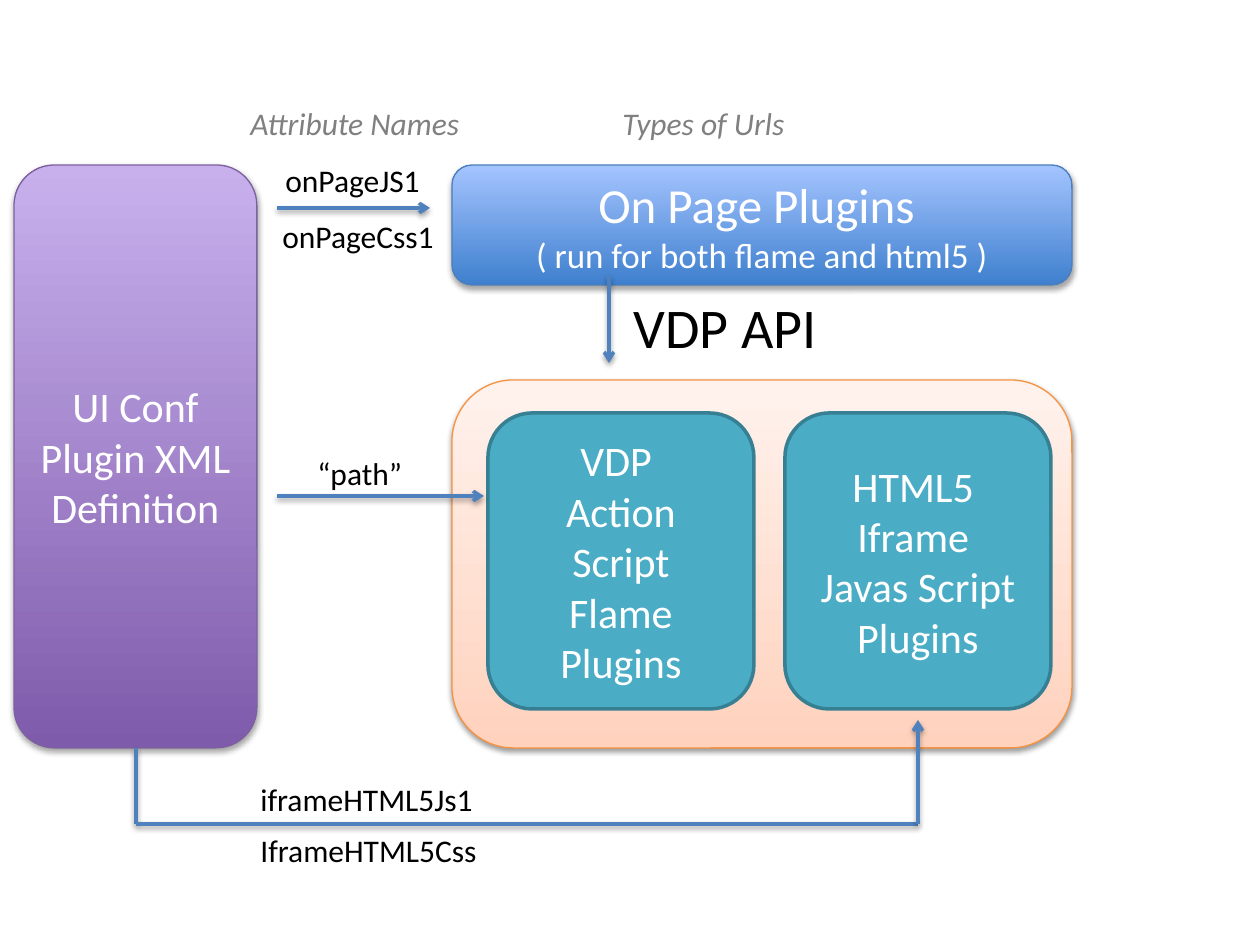
from pptx import Presentation
from pptx.util import Emu, Pt
from pptx.dml.color import RGBColor as RGB
from pptx.enum.shapes import MSO_SHAPE as Shape, MSO_CONNECTOR as Conn
from pptx.enum.text import PP_ALIGN as Align, MSO_ANCHOR as Anchor
from pptx.oxml import parse_xml
from pptx.oxml.ns import nsdecls, qn

SCALE = 914400 // 126
WHITE = RGB(0xFF, 0xFF, 0xFF)
BLACK = RGB(0, 0, 0)
GRAY = RGB(0x80, 0x80, 0x80)
BLUE = RGB(0x4F, 0x81, 0xBD)
NAVY = RGB(0x4B, 0x7E, 0xBC)
BLUES = RGB(0x3F, 0x80, 0xCE), RGB(0xA4, 0xC4, 0xFF)
PLUM = RGB(0x7D, 0x60, 0xA0)
PLUMS = RGB(0x7F, 0x5B, 0xAB), RGB(0xC8, 0xB0, 0xED)
ORANGE = RGB(0xF6, 0x92, 0x40)
PEACH = RGB(0xFF, 0xD2, 0xBD), RGB(0xFF, 0xF2, 0xED)
TEAL = RGB(0x4B, 0xAC, 0xC6)
DARK = RGB(0x37, 0x7F, 0x92)


def px(*nums):
    return [Emu(n * SCALE) for n in nums]


def shade(props, alpha, dist):
    old = props.find(qn("a:effectLst"))
    if old is not None:
        props.remove(old)
    props.append(parse_xml(
        f'<a:effectLst {nsdecls("a")}><a:outerShdw blurRad="40000" dist="{dist}" '
        'dir="5400000" rotWithShape="0"><a:srgbClr val="000000">'
        f'<a:alpha val="{alpha}000"/></a:srgbClr></a:outerShdw></a:effectLst>'))


def write(frame, rows, color, align=None, italic=None):
    for i, (text, size) in enumerate(rows):
        para = frame.paragraphs[0] if i == 0 else frame.add_paragraph()
        para.text = text
        para.alignment = align
        font = para.font
        font.name, font.size, font.italic = "Calibri", Pt(size), italic
        font.color.rgb = color


def panel(slide, box, fill, edge, width, rows=(), glow=None):
    shape = slide.shapes.add_shape(Shape.ROUNDED_RECTANGLE, *px(*box))
    shape.shadow.inherit = False
    if isinstance(fill, RGB):
        shape.fill.solid()
        shape.fill.fore_color.rgb = fill
    else:
        shape.fill.gradient()
        shape.fill.gradient_angle = 90
        for stop, color in zip(shape.fill.gradient_stops, fill):
            stop.color.rgb = color
    shape.line.color.rgb = edge
    shape.line.width = Pt(width)
    if glow:
        shade(shape._element.spPr, *glow)
    shape.text_frame.word_wrap = True
    shape.text_frame.vertical_anchor = Anchor.MIDDLE
    write(shape.text_frame, rows, WHITE, Align.CENTER)


def label(slide, box, text, size=18, color=BLACK, italic=None):
    frame = slide.shapes.add_textbox(*px(*box)).text_frame
    frame.word_wrap = False
    write(frame, [(text, size)], color, italic=italic)


def link(slide, ends, head=True):
    line = slide.shapes.add_connector(Conn.STRAIGHT, *px(*ends))
    line.line.color.rgb = BLUE
    line.line.width = Pt(2)
    if head:
        line.line._get_or_add_ln().append(
            parse_xml(f'<a:tailEnd {nsdecls("a")} type="arrow"/>'))
    shade(line._element.spPr, 38, 20000)


def source(slide, box):
    panel(slide, box, PLUMS, PLUM, 0.75,
          [("UI Conf Plugin XML Definition", 24)], (35, 23000))


def page(slide, box):
    x, y, w, h = box
    panel(slide, box, BLUES, NAVY, 0.75,
          [("On Page Plugins ", 28), ("( run for both flame and html5 )", 20)],
          (35, 23000))
    link(slide, (x + 157, y + h - 9, x + 157, y + h + 78))
    label(slide, (x + 169, y + h + 1, 218, 81), "VDP API", 32)


def player(slide, box):
    x, y, w, h = box
    panel(slide, box, PEACH, ORANGE, 0.75, glow=(38, 20000))
    parts = (("VDP ", "Action Script", "Flame Plugins"),
             ("HTML5 ", "Iframe ", "Javas Script Plugins"))
    for i, rows in enumerate(parts):
        panel(slide, (x + 36 + 297 * i, y + 33, 266, 296), TEAL, DARK, 2,
              [(row, 24) for row in rows])


def names(slide, box):
    x, y, w, h = box
    label(slide, (x - 39, y - 67, 246, 50), "Attribute Names", 18, GRAY, True)
    label(slide, (x + 333, y - 67, 198, 50), "Types of Urls", 18, GRAY, True)
    label(slide, (x - 4, y - 10, 163, 50), "onPageJS1")
    label(slide, (x - 7, y + 46, 179, 50), "onPageCss1")
    label(slide, (x + 28, y + 283, 111, 50), "“path”")
    link(slide, (x, y + 43, x + 153, y + 43))
    link(slide, (x, y + h, x + w, y + h))


def route(slide, box):
    x, y, w, h = box
    link(slide, (x, y, x, y + h), False)
    link(slide, (x, y + h, x + w, y + h), False)
    link(slide, (x + w, y + h, x + w, y - 28))
    label(slide, (x + 112, y + 26, 241, 50), "iframeHTML5Js1")
    label(slide, (x + 112, y + 77, 244, 50), "IframeHTML5Css")


deck = Presentation()
deck.slide_width, deck.slide_height = px(1260, 945)
slide = deck.slides.add_slide(deck.slide_layouts[6])
page(slide, (452, 165, 620, 120))
player(slide, (452, 380, 620, 368))
source(slide, (14, 165, 243, 583))
names(slide, (277, 165, 207, 331))
route(slide, (136, 748, 782, 76))
deck.save("out.pptx")
